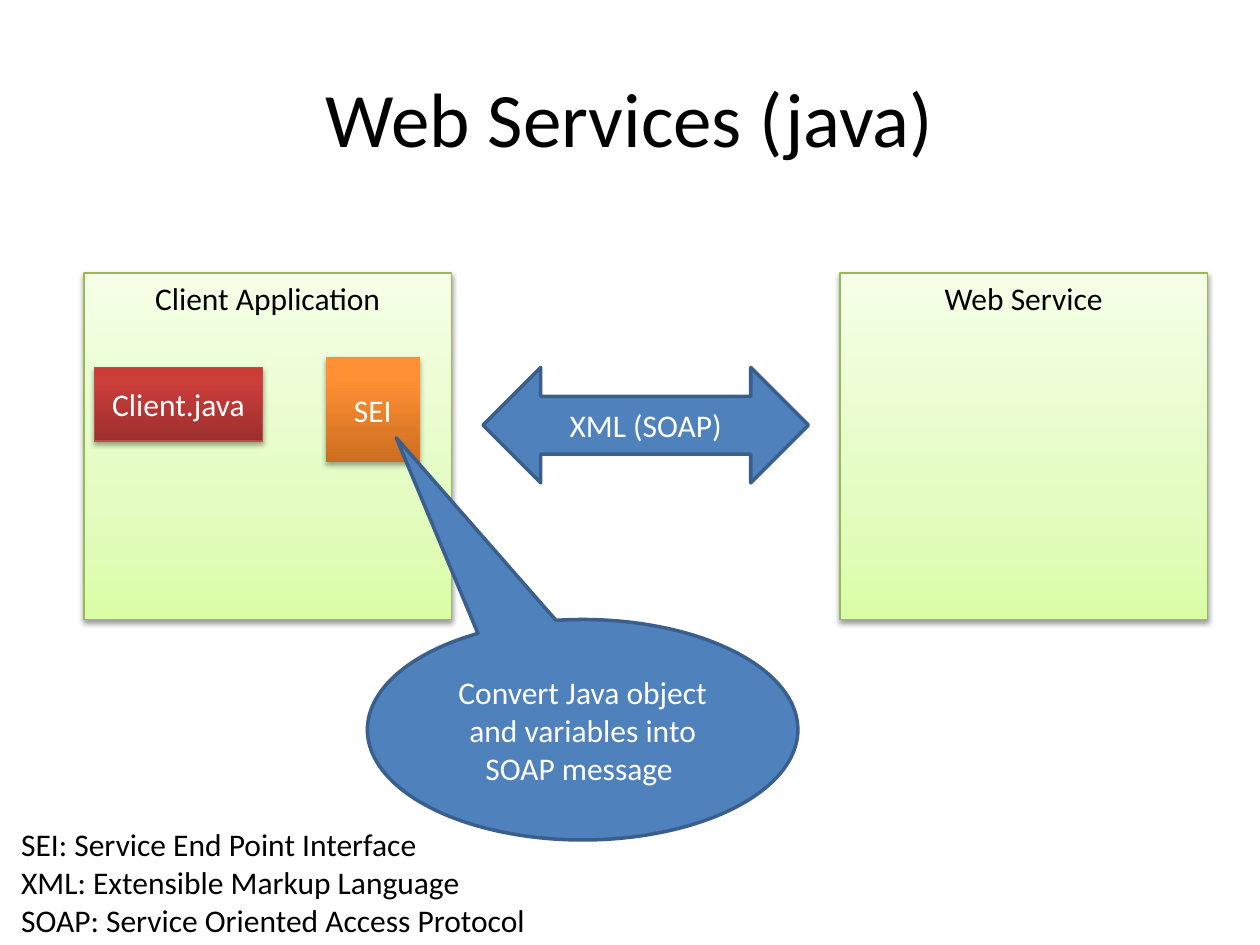
from dataclasses import dataclass
from typing import Optional

from pptx import Presentation
from pptx.dml.color import RGBColor
from pptx.enum.shapes import MSO_SHAPE as Kind
from pptx.enum.text import MSO_ANCHOR as Anchor, PP_ALIGN as Align
from pptx.oxml import parse_xml
from pptx.oxml.ns import nsdecls
from pptx.util import Inches, Pt

WIDE, HIGH = 10, 7.5
CELL = 1 / 12  # grid step in inches
FONT = "Calibri"
BLACK, WHITE = "000000", "FFFFFF"


@dataclass
class Style:
    """Stops run from the bottom edge up; a single stop is a plain fill."""
    stops: tuple
    line: Optional[str]
    width: float = 0.75
    ink: str = WHITE
    anchor: Anchor = Anchor.MIDDLE
    shade: Optional[tuple] = (35, 1.8)  # opacity in percent, distance in points


@dataclass
class Part:
    """Column, row, columns and rows are counted in grid cells."""
    text: str
    col: int
    row: int
    cols: int
    rows: int
    style: Style
    kind: Kind = Kind.RECTANGLE
    adjust: tuple = ()


GREEN = Style(((0, "DAFDA7"), (35, "E4FCC2"), (100, "F5FFE7")), "98B955",
              ink=BLACK, anchor=Anchor.TOP, shade=(38, 1.6))
RED = Style(((0, "9C2F2D"), (80, "CB3E3A"), (100, "CE3B37")), "BF4C48")
ORANGE = Style(((0, "CC6E20"), (80, "FF9034"), (100, "FF9136")), None)
BLUE = Style(((0, "4F81BD"),), "3A5F8C", width=2, shade=None)

PARTS = [
    Part("Client Application", 8, 26, 35, 33, GREEN),
    Part("Client.java", 9, 35, 16, 7, RED),
    Part("SEI", 31, 34, 9, 10, ORANGE),
    Part("Web Service", 80, 26, 35, 33, GREEN),
    Part("XML (SOAP)", 46, 35, 31, 11, BLUE, Kind.LEFT_RIGHT_ARROW),
]
CALL = Part("Convert Java object and variables into SOAP message ",
            35, 59, 41, 21, BLUE, Kind.OVAL_CALLOUT, (-0.433, -1.324))
TERMS = ["SEI: Service End Point Interface",
         "XML: Extensible Markup Language",
         "SOAP: Service Oriented Access Protocol"]


def tint(code: str) -> RGBColor:
    return RGBColor.from_string(code)


def write(para, text: str, ink: str, size: int = 18, align: Align = Align.CENTER) -> None:
    para.alignment = align
    run = para.add_run()
    run.text = text
    run.font.name, run.font.size = FONT, Pt(size)
    run.font.color.rgb = tint(ink)


def blend(shape, stops: tuple) -> None:
    """Swap the fill for a gradient of any number of stops."""
    shape.fill.background()
    marks = "".join(f'<a:gs pos="{pos * 1000}"><a:srgbClr val="{code}"/></a:gs>'
                    for pos, code in stops)
    grad = parse_xml(f'<a:gradFill {nsdecls("a")} rotWithShape="1"><a:gsLst>{marks}</a:gsLst>'
                     '<a:lin ang="16200000" scaled="0"/></a:gradFill>')
    props = shape._element.spPr
    props.replace(props.find("{*}noFill"), grad)


def shade(shape, alpha: int, gap: float) -> None:
    cast = parse_xml(f'<a:outerShdw {nsdecls("a")} blurRad="{Pt(3.1)}" dist="{Pt(gap)}" '
                     'dir="5400000" rotWithShape="0"><a:srgbClr val="000000">'
                     f'<a:alpha val="{alpha * 1000}"/></a:srgbClr></a:outerShdw>')
    shape._element.spPr.find("{*}effectLst").append(cast)


def draw(slide, part: Part) -> None:
    box = [Inches(n * CELL) for n in (part.col, part.row, part.cols, part.rows)]
    shape = slide.shapes.add_shape(part.kind, *box)
    for i, value in enumerate(part.adjust):
        shape.adjustments[i] = value
    style = part.style
    if len(style.stops) > 1:
        blend(shape, style.stops)
    else:
        shape.fill.solid()
        shape.fill.fore_color.rgb = tint(style.stops[0][1])
    if style.line:
        shape.line.color.rgb = tint(style.line)
        shape.line.width = Pt(style.width)
    else:
        shape.line.fill.background()
    shape.shadow.inherit = False
    if style.shade:
        shade(shape, *style.shade)
    frame = shape.text_frame
    frame.word_wrap = True
    frame.vertical_anchor = style.anchor
    write(frame.paragraphs[0], part.text, style.ink)


deck = Presentation()
deck.slide_width, deck.slide_height = Inches(WIDE), Inches(HIGH)
slide = deck.slides.add_slide(deck.slide_layouts[5])

# Title
title = slide.shapes.title
title.left, title.top = Inches(0.05 * WIDE), Inches(0.04 * HIGH)
title.width, title.height = Inches(0.9 * WIDE), Inches(1.25)
title.text_frame.vertical_anchor = Anchor.MIDDLE
write(title.text_frame.paragraphs[0], "Web Services (java)", BLACK, 44)

# Client, service and the link between them
for part in PARTS:
    draw(slide, part)

# Glossary
note = slide.shapes.add_textbox(Inches(0.07), Inches(6.5), Inches(4.3), Inches(1.01))
frame = note.text_frame
frame.word_wrap = False
for i, term in enumerate(TERMS):
    para = frame.add_paragraph() if i else frame.paragraphs[0]
    write(para, term, BLACK, align=Align.LEFT)

# Callout on top
draw(slide, CALL)

deck.save("out.pptx")
